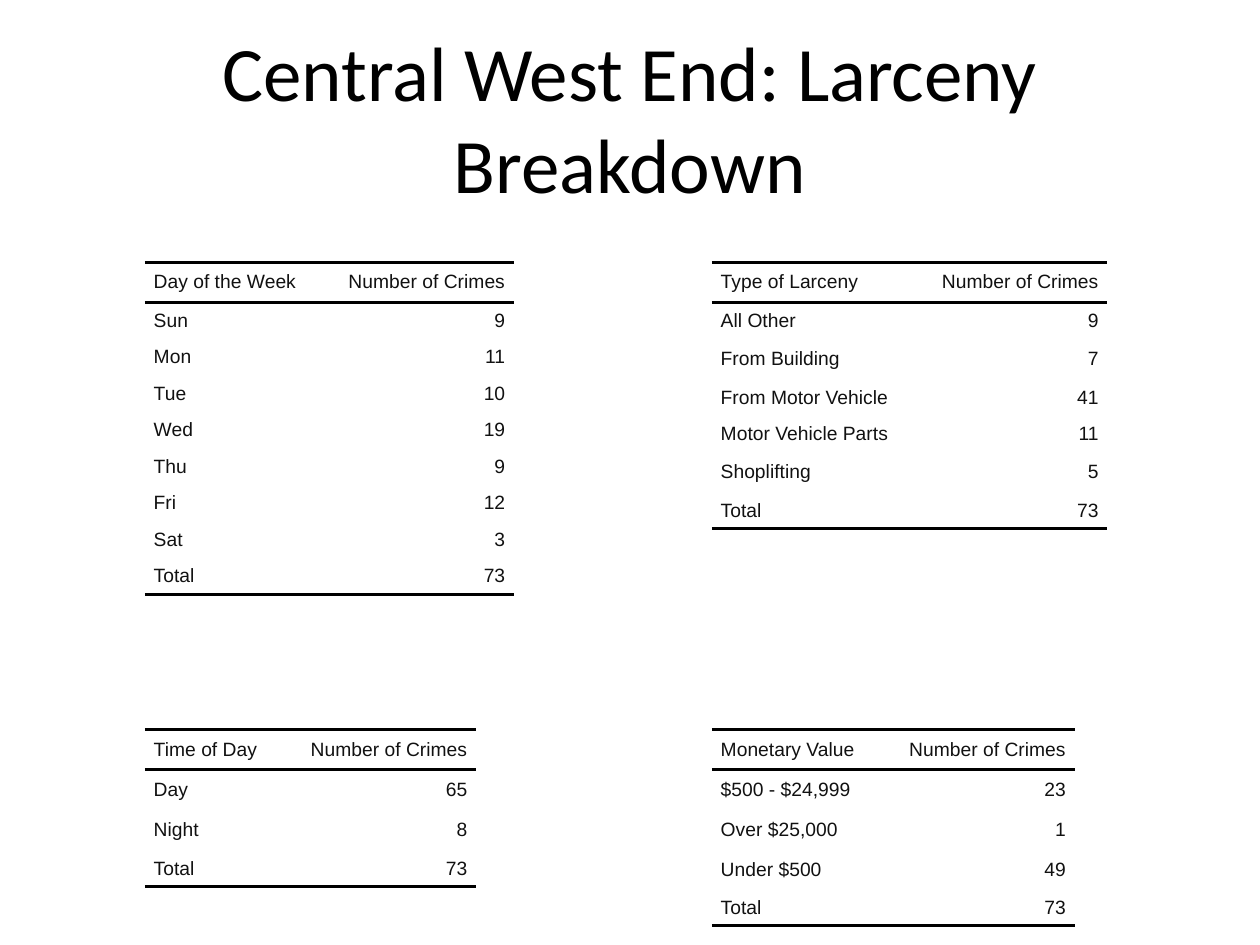
from dataclasses import dataclass

from lxml.etree import SubElement
from pptx import Presentation
from pptx.dml.color import RGBColor
from pptx.enum.text import MSO_ANCHOR, PP_ALIGN
from pptx.oxml.ns import qn
from pptx.slide import Slide
from pptx.table import _Cell
from pptx.util import Inches, Pt

BLACK = RGBColor(0x00, 0x00, 0x00)
INK = RGBColor(0x11, 0x11, 0x11)
PLAIN_STYLE = "{2D5ABB26-0587-4C30-8999-92F81FD0307C}"
LEFT, RIGHT = 1.15, 5.65
TOP, BOTTOM = 2.08, 5.79
TALL, SHORT = 0.32, 0.29
COUNT_WIDTH = 1.52
INDENT = Inches(0.07)


@dataclass(frozen=True)
class Breakdown:
    heading: str
    left: float
    top: float
    label_width: float
    counts: dict[str, int]
    row_heights: list[float]


BREAKDOWNS = [
    Breakdown(
        "Day of the Week", LEFT, TOP, 1.41,
        {"Sun": 9, "Mon": 11, "Tue": 10, "Wed": 19, "Thu": 9, "Fri": 12, "Sat": 3},
        [SHORT] * 7,
    ),
    Breakdown("Time of Day", LEFT, BOTTOM, 1.11, {"Day": 65, "Night": 8}, [TALL] * 2),
    Breakdown(
        "Type of Larceny", RIGHT, TOP, 1.62,
        {"All Other": 9, "From Building": 7, "From Motor Vehicle": 41,
         "Motor Vehicle Parts": 11, "Shoplifting": 5},
        [SHORT, TALL, SHORT, SHORT, TALL],
    ),
    Breakdown(
        "Monetary Value", RIGHT, BOTTOM, 1.36,
        {"$500 - $24,999": 23, "Over $25,000": 1, "Under $500": 49},
        [TALL, TALL, 0.31],
    ),
]


def add_rule(cell: _Cell, side: str) -> None:
    properties = cell._tc.get_or_add_tcPr()
    rule = SubElement(properties, qn(f"a:{side}"), w=str(Pt(2)))
    fill = SubElement(rule, qn("a:solidFill"))
    SubElement(fill, qn("a:srgbClr"), val=str(BLACK))


def write_cell(cell: _Cell, text: str, align: PP_ALIGN, sides: list[str]) -> None:
    for side in sides:
        add_rule(cell, side)
    cell.fill.background()
    cell.margin_left = cell.margin_right = 0
    cell.margin_top = cell.margin_bottom = 0
    cell.vertical_anchor = MSO_ANCHOR.MIDDLE
    paragraph = cell.text_frame.paragraphs[0]
    paragraph.text = text
    paragraph.alignment = align
    paragraph.space_before = paragraph.space_after = Pt(2)
    indents = paragraph._p.get_or_add_pPr()
    indents.set("marL", str(INDENT))
    indents.set("marR", str(INDENT))
    indents.set("indent", "0")
    font = paragraph.runs[0].font
    font.name, font.size = "Arial", Pt(11)
    font.color.rgb = INK


def add_breakdown(slide: Slide, breakdown: Breakdown) -> None:
    total = sum(breakdown.counts.values())
    rows = [(breakdown.heading, "Number of Crimes"), *breakdown.counts.items(), ("Total", total)]
    heights = [TALL, *breakdown.row_heights, SHORT]
    widths = [breakdown.label_width, COUNT_WIDTH]
    table = slide.shapes.add_table(
        len(rows), len(widths), Inches(breakdown.left), Inches(breakdown.top),
        Inches(sum(widths)), Inches(sum(heights)),
    ).table
    table.first_row = table.horz_banding = False
    table._tbl.tblPr.find(qn("a:tableStyleId")).text = PLAIN_STYLE
    for column, width in zip(table.columns, widths):
        column.width = Inches(width)
    rules = {0: ["lnT", "lnB"], len(rows) - 1: ["lnB"]}
    for index, (values, height) in enumerate(zip(rows, heights)):
        table.rows[index].height = Inches(height)
        for column, align in enumerate((PP_ALIGN.LEFT, PP_ALIGN.RIGHT)):
            write_cell(table.cell(index, column), str(values[column]), align, rules.get(index, []))


def add_title(slide: Slide, text: str) -> None:
    title = slide.shapes.add_textbox(Inches(0.5), Inches(0.3), Inches(9), Inches(1.25))
    frame = title.text_frame
    frame.word_wrap = True
    frame.vertical_anchor = MSO_ANCHOR.MIDDLE
    frame.text = text
    paragraph = frame.paragraphs[0]
    paragraph.alignment = PP_ALIGN.CENTER
    font = paragraph.runs[0].font
    font.name, font.size = "Calibri", Pt(44)
    font.color.rgb = BLACK


def main() -> None:
    presentation = Presentation()
    presentation.slide_width, presentation.slide_height = Inches(10), Inches(7.5)
    slide = presentation.slides.add_slide(presentation.slide_layouts[6])
    add_title(slide, "Central West End: Larceny Breakdown")
    for breakdown in BREAKDOWNS:
        add_breakdown(slide, breakdown)
    presentation.save("out.pptx")


if __name__ == "__main__":
    main()
